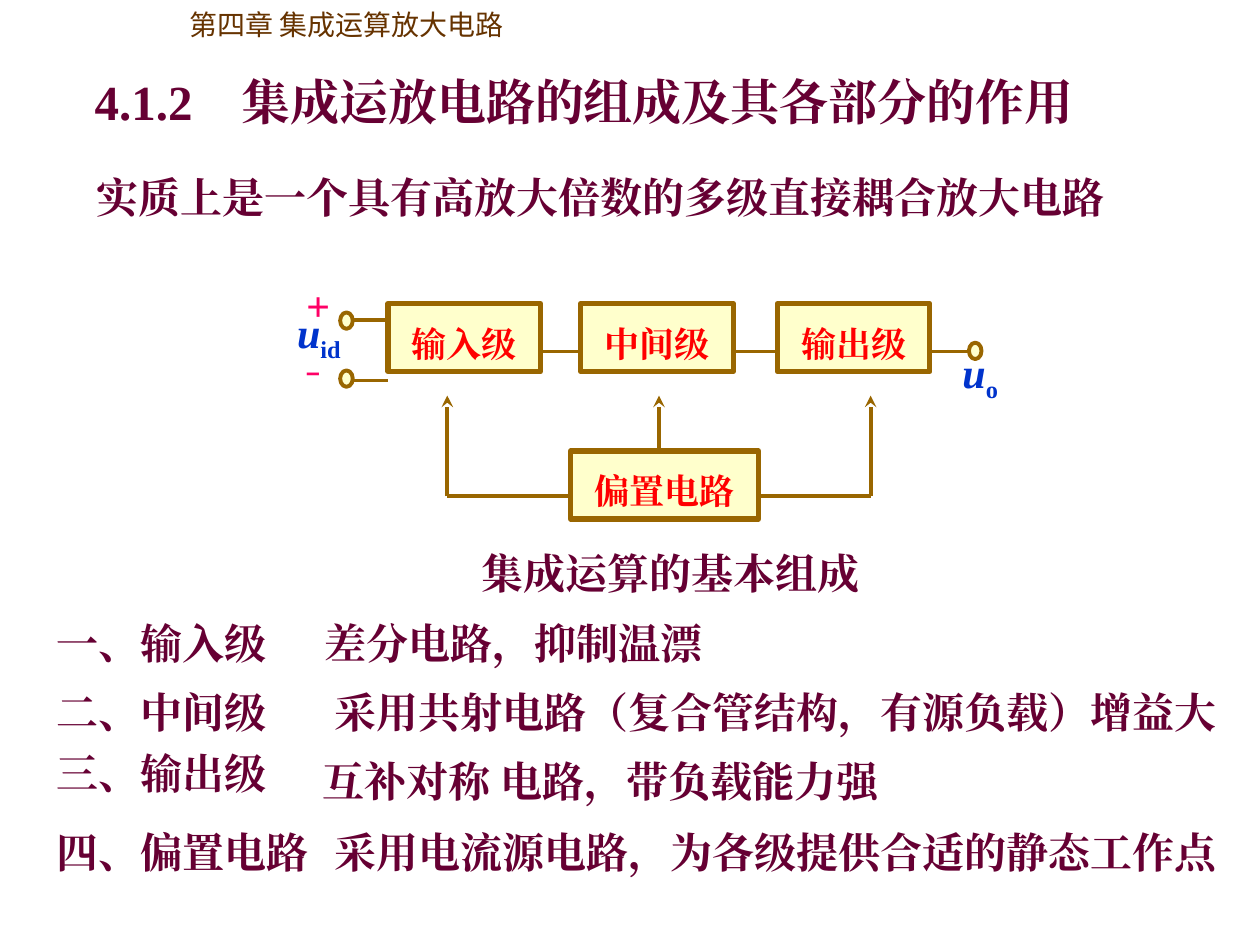
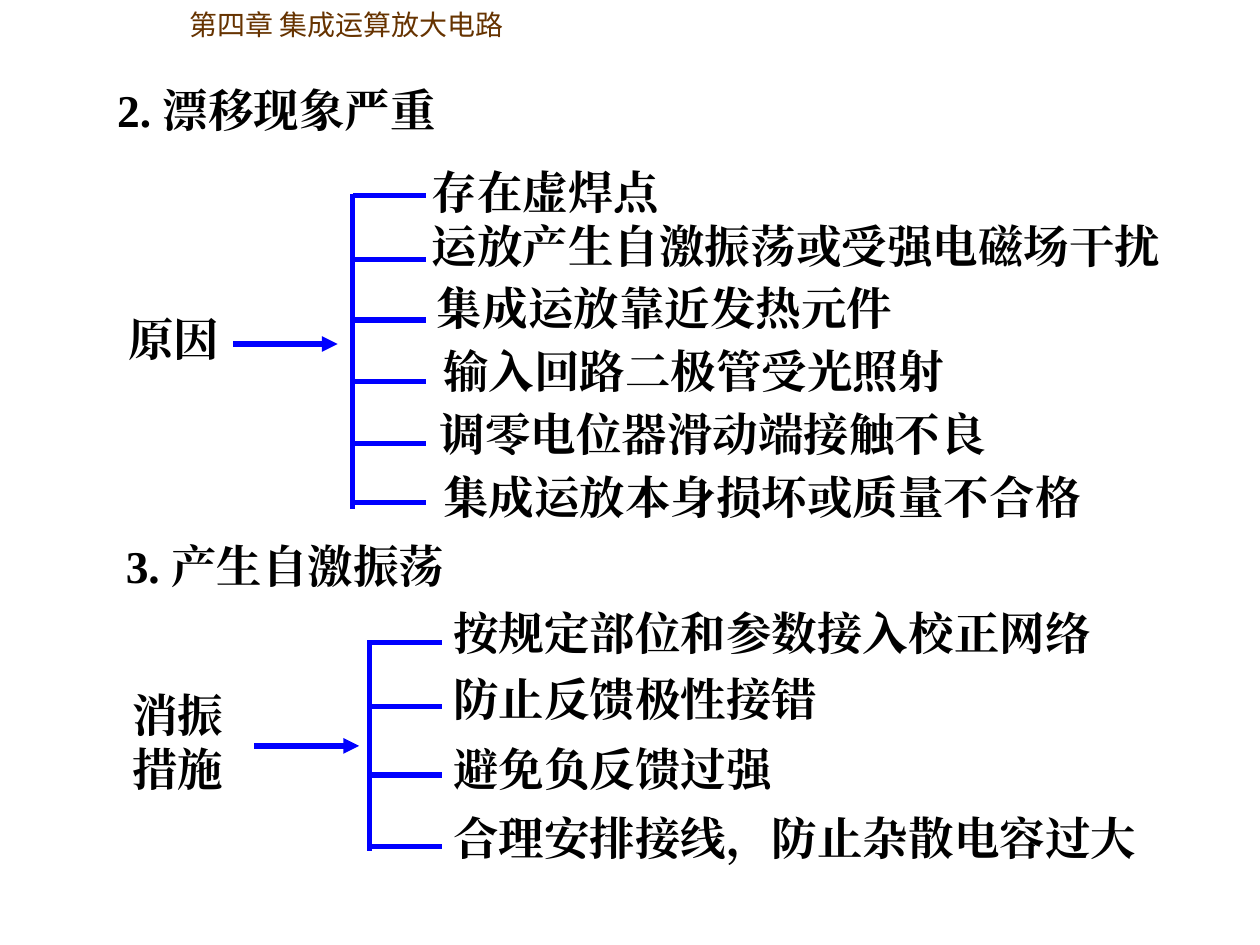
from lxml import etree
from pptx import Presentation
from pptx.dml.color import RGBColor
from pptx.enum import shapes, text
from pptx.oxml.ns import qn
from pptx.util import Inches, Pt

PLUM = RGBColor(0x66, 0x00, 0x33)
BROWN = RGBColor(0x66, 0x33, 0x00)
OCHRE = RGBColor(0x99, 0x66, 0x00)
CREAM = RGBColor(0xFF, 0xFF, 0xCC)
RED = RGBColor(0xFF, 0x00, 0x00)
PINK = RGBColor(0xFF, 0x00, 0x66)
ROYAL = RGBColor(0x00, 0x33, 0xCC)
BLUE = RGBColor(0x00, 0x00, 0xFF)
BLACK = RGBColor(0x00, 0x00, 0x00)
SERIF = "Times New Roman"
SANS = "Noto Sans CJK JP"

CHAPTER = "第四章 集成运算放大电路"
COMPOSITION = "4.1.2　集成运放电路的组成及其各部分的作用"
ESSENCE = "实质上是一个具有高放大倍数的多级直接耦合放大电路"
CAPTION = "集成运算的基本组成"

PARTS = [
    ("一、输入级", 4.85, "差分电路，抑制温漂", 2.48, 4.85),
    ("二、中间级", 5.4, "采用共射电路（复合管结构，有源负载）增益大", 2.56, 5.4),
    ("三、输出级", 5.88, "互补对称 电路，带负载能力强", 2.46, 5.95),
    ("四、偏置电路", 6.51, "采用电流源电路，为各级提供合适的静态工作点", 2.56, 6.51),
]
BLOCKS = [
    ("输入级", 3.08, 2.41, 1.21),
    ("中间级", 4.61, 2.41, 1.21),
    ("输出级", 6.17, 2.41, 1.21),
    ("偏置电路", 4.53, 3.58, 1.49),
]
BIAS_ARROWS = [3.55, 5.23, 6.91]
BIAS_Y = 3.94
WIRES = [
    (BIAS_ARROWS[0], BIAS_Y, BIAS_ARROWS[-1], BIAS_Y),
    (4.06, 2.79, 7.69, 2.79),
    (2.8, 2.54, 3.08, 2.54),
    (2.8, 3.02, 3.08, 3.02),
]
TERMINALS = [(2.7, 2.48), (2.7, 2.94), (7.69, 2.72)]
SIGNALS = [("u", "id", 2.26, 2.38), ("u", "o", 7.54, 2.7)]

DRIFT = "2. 漂移现象严重"
OSCILLATION = "3. 产生自激振荡"
TREES = [
    {
        "root": "原因", "at": (0.92, 2.42, 1.02, 0.54), "arrow": (1.85, 2.73),
        "stem": (2.8, 1.54, 4.04),
        "branches": [
            ("存在虚焊点", 3.33, 1.25, 1.55),
            ("运放产生自激振荡或受强电磁场干扰", 3.33, 1.68, 2.06),
            ("集成运放靠近发热元件", 3.37, 2.17, 2.54),
            ("输入回路二极管受光照射", 3.42, 2.67, 3.03),
            ("调零电位器滑动端接触不良", 3.39, 3.17, 3.52),
            ("集成运放本身损坏或质量不合格", 3.42, 3.67, 3.99),
        ],
    },
    {
        "root": "消振措施", "at": (0.95, 5.4, 1.02, 0.97), "arrow": (2.02, 5.92),
        "stem": (2.93, 5.08, 6.75),
        "branches": [
            ("按规定部位和参数接入校正网络", 3.5, 4.75, 5.1),
            ("防止反馈极性接错", 3.5, 5.28, 5.61),
            ("避免负反馈过强", 3.5, 5.83, 6.15),
            ("合理安排接线，防止杂散电容过大", 3.5, 6.38, 6.72),
        ],
    },
]
ARROW_LENGTH, BRANCH_LENGTH = 0.83, 0.58


def write(frame, words, size=24, color=PLUM, font=SERIF, bold=True, italic=False,
          align=text.PP_ALIGN.LEFT, spacing=None, wrap=True, sub=False, new=True):
    frame.word_wrap = wrap
    frame.auto_size = text.MSO_AUTO_SIZE.NONE
    frame.vertical_anchor = text.MSO_ANCHOR.TOP
    paragraph = frame.paragraphs[-1]
    if new and paragraph.runs:
        paragraph = frame.add_paragraph()
    paragraph.alignment = align
    if spacing:
        paragraph.line_spacing = spacing
    run = paragraph.add_run()
    run.text = words
    run.font.size = Pt(size)
    run.font.bold = bold
    run.font.italic = italic
    run.font.color.rgb = color
    run.font.name = font
    properties = run.font._element
    etree.SubElement(properties, qn("a:ea")).set("typeface", font)
    if sub:
        properties.set("baseline", "-25000")


def place(shape, left, top, width, height):
    shape.left, shape.top = Inches(left), Inches(top)
    shape.width, shape.height = Inches(width), Inches(height)


def label(slide, words, left, top, width, height=0.5, **style):
    box = slide.shapes.add_textbox(*map(Inches, (left, top, width, height)))
    write(box.text_frame, words, **style)
    return box


def title(slide, words, left, top, width, height, **style):
    place(slide.shapes.title, left, top, width, height)
    write(slide.shapes.title.text_frame, words, **style)


def line(slide, x1, y1, x2, y2, color=OCHRE, weight=2.25, head=None):
    wire = slide.shapes.add_connector(
        shapes.MSO_CONNECTOR.STRAIGHT, *map(Inches, (x1, y1, x2, y2)))
    wire.line.color.rgb = color
    wire.line.width = Pt(weight)
    if head:
        etree.SubElement(wire.line._get_or_add_ln(), qn("a:tailEnd")).set("type", head)
    etree.SubElement(wire._element.spPr, qn("a:effectLst"))


def block(slide, kind, left, top, width, height, weight):
    shape = slide.shapes.add_shape(kind, *map(Inches, (left, top, width, height)))
    shape.shadow.inherit = False
    shape.fill.solid()
    shape.fill.fore_color.rgb = CREAM
    shape.line.color.rgb = OCHRE
    shape.line.width = Pt(weight)
    return shape


def circuit(slide):
    for x in BIAS_ARROWS:
        line(slide, x, BIAS_Y, x, 3.14, head="stealth")
    for wire in WIRES:
        line(slide, *wire)
    for words, left, top, width in BLOCKS:
        stage = block(slide, shapes.MSO_SHAPE.RECTANGLE, left, top, width, 0.54, 3)
        write(stage.text_frame, words, size=20, color=RED,
              align=text.PP_ALIGN.CENTER, spacing=1.3)
    for left, top in TERMINALS:
        block(slide, shapes.MSO_SHAPE.OVAL, left, top, 0.1, 0.13, 2.25)
    polarity = label(slide, "+", 2.33, 2.17, 0.39, 0.96,
                     color=PINK, italic=True, wrap=False)
    write(polarity.text_frame, "−", color=PINK, font="Arial", wrap=False, sub=True)
    for symbol, index, left, top in SIGNALS:
        signal = label(slide, symbol, left, top, 0.54, 0.56,
                       color=ROYAL, italic=True, wrap=False)
        write(signal.text_frame, index, color=ROYAL, wrap=False, sub=True, new=False)


def tree(slide, root, at, arrow, stem, branches):
    label(slide, root, *at, size=26, color=BLACK)
    x, y = arrow
    line(slide, x, y, x + ARROW_LENGTH, y, BLUE, 3, "triangle")
    x, top, bottom = stem
    line(slide, x, top, x, bottom, BLUE, 3)
    for words, left, text_top, y in branches:
        line(slide, x, y, x + BRANCH_LENGTH, y, BLUE, 3)
        label(slide, words, left, text_top, 6.4, 0.54, size=26, color=BLACK)


def main():
    deck = Presentation()
    deck.slide_width, deck.slide_height = Inches(10), Inches(7.5)
    layout = deck.slide_layouts[5]
    composition, faults = (deck.slides.add_slide(layout) for _ in range(2))

    chapter = label(composition, CHAPTER, 1.41, 0.01, 3.36, 0.37,
                    size=16, color=BROWN, font=SANS, bold=False)
    layout.shapes.element.append(chapter.element)

    title(composition, COMPOSITION, 0.51, 0.52, 8.25, 0.57,
          size=28, align=text.PP_ALIGN.CENTER)
    label(composition, ESSENCE, 0.67, 1.23, 8.99, 0.58,
          align=text.PP_ALIGN.JUSTIFY, spacing=1.2)
    circuit(composition)
    label(composition, CAPTION, 2.49, 4.3, 5.67, align=text.PP_ALIGN.CENTER)
    for part, part_top, role, role_left, role_top in PARTS:
        label(composition, part, 0.35, part_top, 2.33)
        label(composition, role, role_left, role_top, 7.44)

    title(faults, DRIFT, 0.83, 0.6, 3.33, 0.54, size=26, color=BLACK)
    label(faults, OSCILLATION, 0.9, 4.22, 3.33, 0.54, size=26, color=BLACK)
    for branches in TREES:
        tree(faults, **branches)

    deck.save("out.pptx")


if __name__ == "__main__":
    main()
